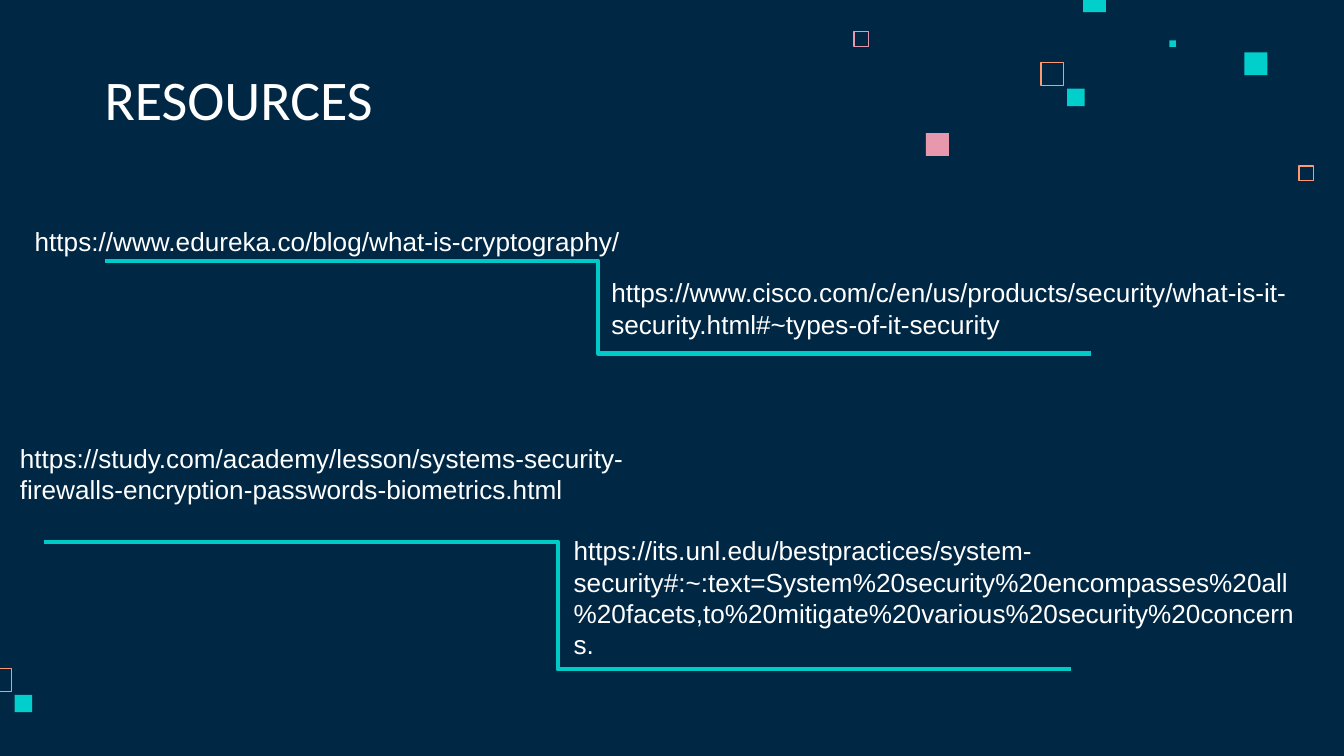
from lxml import etree
from pptx import Presentation, util as u
from pptx.dml.color import RGBColor
from pptx.enum import shapes, text
from pptx.oxml.ns import qn

NAVY, TEAL, LINE = "002845", "00CFCC", "00CAC8"
PINK, PEACH, WHITE = "E898AC", "FF9973", "FFFFFF"


def color(code):
    return RGBColor.from_string(code)


class Deck:
    """Holds the style and the current slide."""

    link = {"name": "Arial", "size": u.Pt(14)}
    head = {"name": "Calibri", "size": u.Pt(30)}

    def __init__(self, wide, high):
        self.file = Presentation()
        self.file.slide_width = u.Inches(wide)
        self.file.slide_height = u.Inches(high)
        self.slide = self.file.slides.add_slide(self.file.slide_layouts[6])
        fill = self.slide.background.fill
        fill.solid()
        fill.fore_color.rgb = color(NAVY)

    def square(self, left, top, side, code, hollow=False):
        edge = 0.01 if hollow else 0
        size = u.Inches(side - edge)
        box = self.slide.shapes.add_shape(
            shapes.MSO_SHAPE.RECTANGLE,
            u.Inches(left + edge / 2), u.Inches(top + edge / 2), size, size)
        box.shadow.inherit = False
        if hollow:
            box.fill.background()
            box.line.color.rgb = color(code)
            box.line.width = u.Inches(edge)
        else:
            box.fill.solid()
            box.fill.fore_color.rgb = color(code)
            box.line.fill.background()

    def label(self, words, place, style, pad=0.05, grow=False, anchor="TOP"):
        box = self.slide.shapes.add_textbox(*map(u.Inches, place))
        frame = box.text_frame
        fit = text.MSO_AUTO_SIZE
        form = {
            "word_wrap": True,
            "auto_size": fit.SHAPE_TO_FIT_TEXT if grow else fit.NONE,
            "vertical_anchor": text.MSO_ANCHOR[anchor],
            "margin_top": u.Inches(pad),
            "margin_bottom": u.Inches(pad),
        }
        for key, value in form.items():
            setattr(frame, key, value)
        run = frame.paragraphs[0].add_run()
        run.text = words
        for key, value in style.items():
            setattr(run.font, key, value)
        run.font.color.rgb = color(WHITE)

    def step(self, *ends):
        line = self.slide.shapes.add_connector(
            shapes.MSO_CONNECTOR.ELBOW, *map(u.Inches, ends))
        line.line.color.rgb = color(LINE)
        line.line.width = u.Pt(2.25)
        etree.SubElement(line._element.spPr, qn("a:effectLst"))


def main():
    deck = Deck(10, 10 * 9 / 16)
    for spot in [
        (9.66, 1.23, 0.12, PEACH, True),
        (6.35, 0.23, 0.12, PINK, True),
        (7.74, 0.46, 0.18, PEACH, True),
        (8.7, 0.3, 0.05, TEAL),
        (8.06, -0.08, 0.17, TEAL),
        (9.26, 0.39, 0.17, TEAL),
        (7.94, 0.66, 0.13, TEAL),
        (6.89, 0.99, 0.17, PINK),
        (-0.09, 4.97, 0.18, PEACH, True),
        (0.11, 5.17, 0.13, TEAL),
    ]:
        deck.square(*spot)

    deck.label("https://www.edureka.co/blog/what-is-cryptography/",
               (0.16, 1.58, 5.94, 4.14), deck.link, pad=0.1)
    deck.label("RESOURCES", (0.68, 0.45, 5.17, 0.63), deck.head,
               pad=0.1, anchor="BOTTOM")

    for ends in [(0.78, 1.94, 8.12, 2.63), (0.33, 4.03, 7.97, 4.98)]:
        deck.step(*ends)

    for words, place in [
        ("https://www.cisco.com/c/en/us/products/security/what-is-it-"
         "security.html#~types-of-it-security", (4.45, 2.01, 6.6, 0.57)),
        ("https://study.com/academy/lesson/systems-security-"
         "firewalls-encryption-passwords-biometrics.html",
         (0.05, 3.24, 5.27, 0.57)),
        ("https://its.unl.edu/bestpractices/system-security#:~:text="
         "System%20security%20encompasses%20all%20facets,"
         "to%20mitigate%20various%20security%20concerns.",
         (4.17, 3.93, 5.57, 1.04)),
    ]:
        deck.label(words, place, deck.link, grow=True)

    deck.file.save("out.pptx")


if __name__ == "__main__":
    main()
